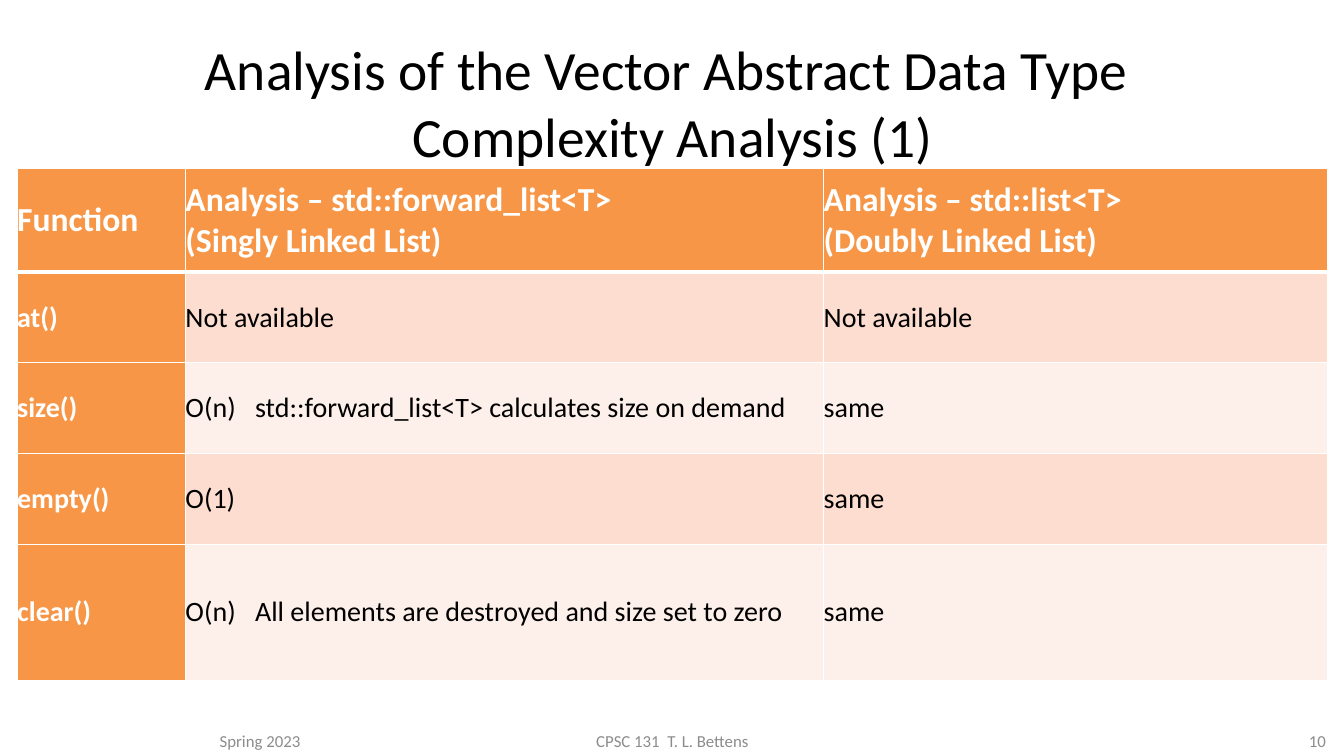
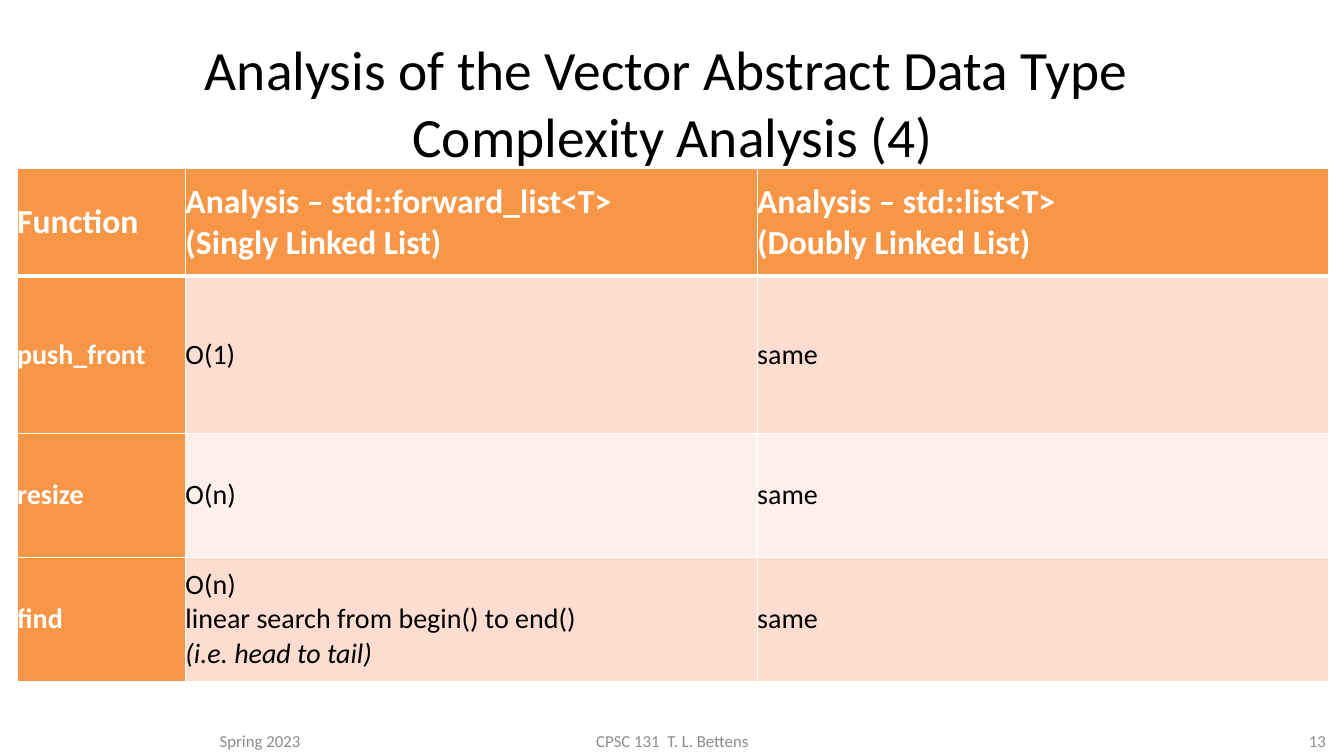
from dataclasses import dataclass
from itertools import product

from lxml import etree
from pptx import Presentation
from pptx.dml.color import RGBColor
from pptx.enum.text import MSO_ANCHOR, MSO_AUTO_SIZE, PP_ALIGN
from pptx.oxml.ns import qn
from pptx.util import Inches, Pt

LEFT, CENTER, RIGHT = PP_ALIGN.LEFT, PP_ALIGN.CENTER, PP_ALIGN.RIGHT
TOP, MIDDLE, BOTTOM = MSO_ANCHOR.TOP, MSO_ANCHOR.MIDDLE, MSO_ANCHOR.BOTTOM
NO_FIT = MSO_AUTO_SIZE.NONE
TITLE_ONLY = 5


@dataclass(frozen=True)
class Theme:
    font: str = "Calibri"
    ink: str = "000000"
    white: str = "FFFFFF"
    accent: str = "F79646"
    bands: tuple = ("FCDDCF", "FDEFE9")
    muted: str = "8C8C8C"
    title_pt: float = 39.6
    header_pt: float = 24
    body_pt: float = 20
    footer_pt: float = 12
    grid_pt: float = 1
    header_rule_pt: float = 3


THEME = Theme()

# Content: a cell is a tuple of lines; a line in ITALIC is set in italics
TITLE = "Analysis of the Vector Abstract Data Type "
HEADER = (
    ("Function",),
    ("Analysis – std::forward_list<T>", "(Singly Linked List)"),
    ("Analysis – std::list<T>", "(Doubly Linked List)"),
)
ITALIC = {"(i.e. head to tail)"}
SLIDES = [
    {
        "number": "10",
        "subtitle": "Complexity Analysis (1)",
        "cols": (1.67, 6.33, 5),
        "rows": (1.03, 0.9, 0.9, 0.9, 1.35),
        "body": [
            (("at()",), ("Not available",), ("Not available",)),
            (("size()",),
             ("O(n)\tstd::forward_list<T> calculates size on demand",),
             ("same",)),
            (("empty()",), ("O(1)",), ("same",)),
            (("clear()",),
             ("O(n)\tAll elements are destroyed and size set to zero",),
             ("same",)),
        ],
    },
    {
        "number": "13",
        "subtitle": "Complexity Analysis (4)",
        "cols": (1.67, 5.67, 5.67),
        "rows": (1.07, 1.56, 1.23, 1.23),
        "body": [
            (("push_front",), ("O(1)",), ("same",)),
            (("resize",), ("O(n)",), ("same",)),
            (("find",),
             ("O(n)", "linear search from begin() to end()",
              "(i.e. head to tail)"),
             ("same",)),
        ],
    },
]

# Layout, in inches
MARGIN, CONTENT_W = 0.17, 13
TITLE_TOP, TITLE_H = 0.3, 1.25
TABLE_TOP, TABLE_H = 1.67, 5.08
FOOTER_TOP, FOOTER_H = 6.95, 0.55
NOTE_TAB = 0.69
FOOTERS = [  # left, width, alignment, text (None for the slide number)
    (2.08, 2.33, LEFT, "Spring 2023"),
    (4.42, 4.5, CENTER, "CPSC 131  T. L. Bettens"),
    (10.25, 3, RIGHT, None),
]


def add_run(p, text, size, color, bold=False, italic=False):
    r = p.add_run()
    r.text = text
    r.font.name, r.font.size = THEME.font, Pt(size)
    r.font.bold, r.font.italic = bold, italic
    r.font.color.rgb = RGBColor.from_string(color)


def add_title(slide, subtitle):
    sp = slide.shapes.title
    sp.left, sp.top = Inches(MARGIN), Inches(TITLE_TOP)
    sp.width, sp.height = Inches(CONTENT_W), Inches(TITLE_H)
    tf = sp.text_frame
    tf.auto_size, tf.vertical_anchor, tf.word_wrap = NO_FIT, TOP, True
    p = tf.paragraphs[0]
    p.alignment = CENTER
    add_run(p, TITLE, THEME.title_pt, THEME.ink)
    p.add_line_break()
    add_run(p, subtitle, THEME.title_pt, THEME.ink)


def add_footers(slide, number):
    for left, width, align, text in FOOTERS:
        sp = slide.shapes.add_textbox(Inches(left), Inches(FOOTER_TOP),
                                      Inches(width), Inches(FOOTER_H))
        tf = sp.text_frame
        tf.word_wrap, tf.vertical_anchor = True, BOTTOM
        p = tf.paragraphs[0]
        p.alignment = align
        add_run(p, text or number, THEME.footer_pt, THEME.muted)


def add_tab_stop(p, inches):
    tabs = etree.SubElement(p._p.get_or_add_pPr(), qn("a:tabLst"))
    etree.SubElement(tabs, qn("a:tab"), pos=str(Inches(inches)), algn="l")


def set_borders(cell, row):
    # Borders precede the fill in the cell properties
    tc_pr = cell._tc.get_or_add_tcPr()
    header_side = {0: "lnB", 1: "lnT"}.get(row)
    for i, side in enumerate(("lnL", "lnR", "lnT", "lnB")):
        width = THEME.header_rule_pt if side == header_side else THEME.grid_pt
        ln = etree.Element(qn(f"a:{side}"), w=str(Pt(width)))
        fill = etree.SubElement(ln, qn("a:solidFill"))
        etree.SubElement(fill, qn("a:srgbClr"), val=THEME.white)
        tc_pr.insert(i, ln)


def fill_cell(cell, lines, row, col):
    heading = row == 0 or col == 0
    cell.margin_left = cell.margin_right = 0
    cell.margin_top = cell.margin_bottom = 0
    cell.vertical_anchor = MIDDLE
    cell.fill.solid()
    cell.fill.fore_color.rgb = RGBColor.from_string(
        THEME.accent if heading else THEME.bands[(row - 1) % 2])
    set_borders(cell, row)
    tf = cell.text_frame
    for i, line in enumerate(lines):
        p = tf.add_paragraph() if i else tf.paragraphs[0]
        if "\t" in line:
            add_tab_stop(p, NOTE_TAB)
        add_run(p, line, THEME.body_pt if row else THEME.header_pt,
                THEME.white if heading else THEME.ink,
                bold=heading, italic=line in ITALIC)


def add_analysis_table(slide, cols, rows, body):
    table = slide.shapes.add_table(
        len(rows), len(cols), Inches(MARGIN), Inches(TABLE_TOP),
        Inches(CONTENT_W), Inches(TABLE_H)).table
    table.first_col, table.horz_banding = True, False
    for column, width in zip(table.columns, cols):
        column.width = Inches(width)
    for table_row, height in zip(table.rows, rows):
        table_row.height = Inches(height)
    content = [HEADER, *body]
    for row, col in product(range(len(rows)), range(len(cols))):
        fill_cell(table.cell(row, col), content[row][col], row, col)


def main():
    prs = Presentation()
    prs.slide_width, prs.slide_height = Inches(13.33), Inches(7.5)
    for data in SLIDES:
        slide = prs.slides.add_slide(prs.slide_layouts[TITLE_ONLY])
        add_footers(slide, data["number"])
        add_title(slide, data["subtitle"])
        add_analysis_table(slide, data["cols"], data["rows"], data["body"])
    prs.save("out.pptx")


if __name__ == "__main__":
    main()
